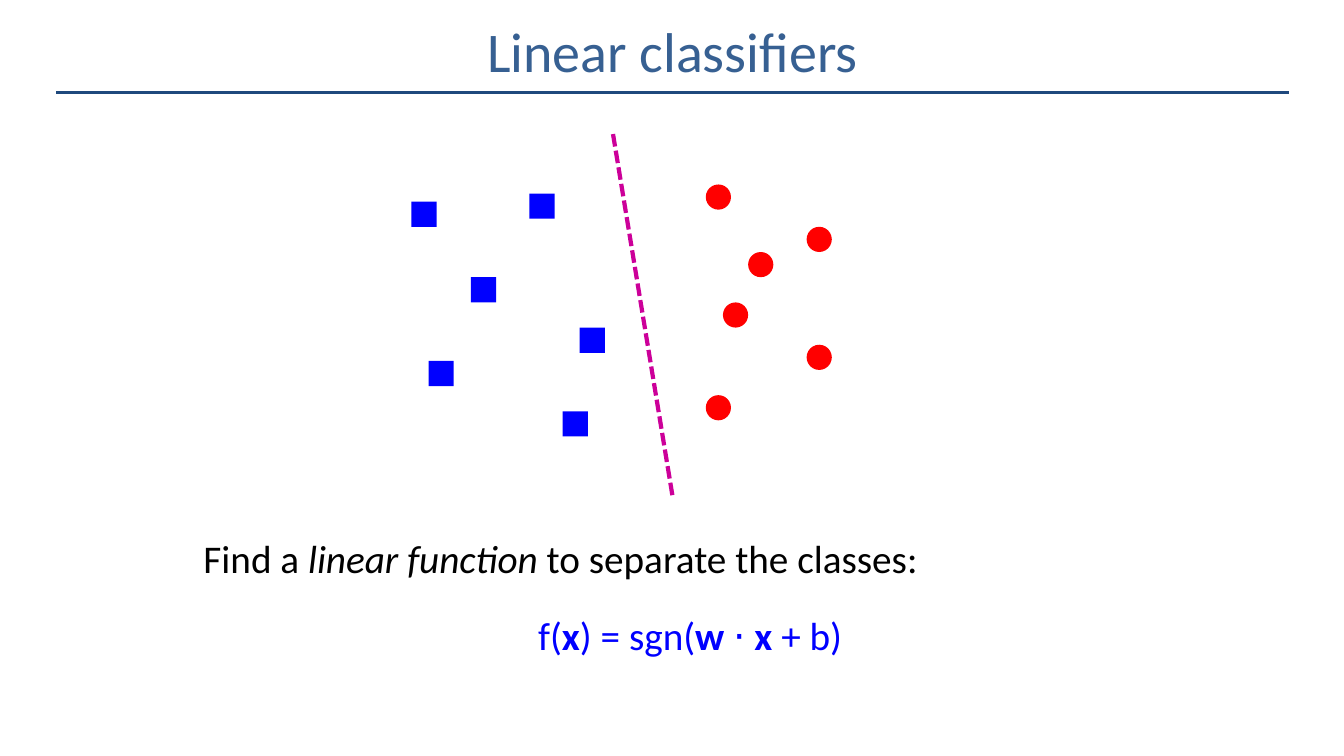
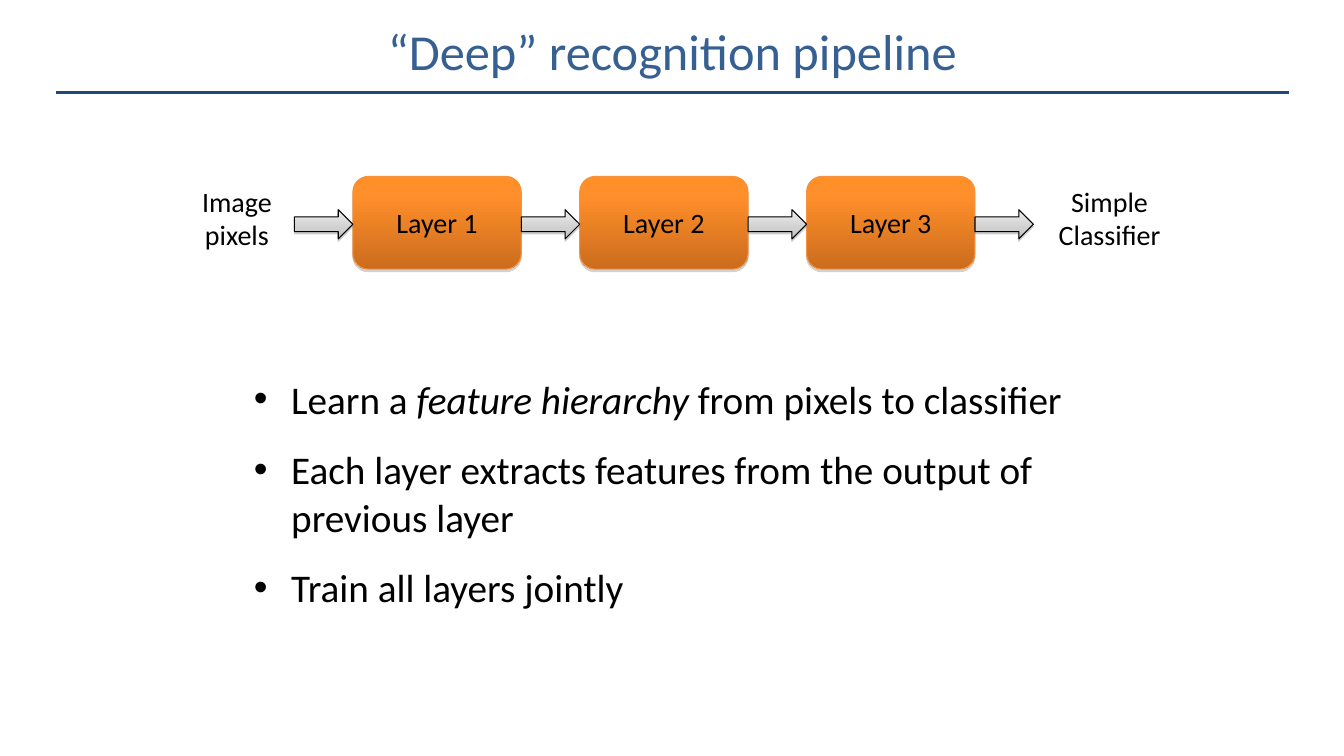
from dataclasses import dataclass
from typing import NamedTuple

from lxml import etree
from pptx import Presentation
from pptx.dml.color import RGBColor
from pptx.enum.dml import MSO_LINE
from pptx.enum.shapes import MSO_CONNECTOR, MSO_SHAPE
from pptx.enum.text import MSO_ANCHOR, PP_ALIGN
from pptx.oxml.ns import qn
from pptx.util import Inches, Pt

CENTER, LEFT = PP_ALIGN.CENTER, PP_ALIGN.LEFT
MIDDLE = MSO_ANCHOR.MIDDLE
SQUARE, CIRCLE = MSO_SHAPE.RECTANGLE, MSO_SHAPE.OVAL
ROUNDED, ARROW = MSO_SHAPE.ROUNDED_RECTANGLE, MSO_SHAPE.RIGHT_ARROW
STRAIGHT, DASHED = MSO_CONNECTOR.STRAIGHT, MSO_LINE.SQUARE_DOT
TITLE_ONLY = 5


@dataclass(frozen=True)
class Theme:
    font: str = "Calibri"
    title: str = "376092"
    rule: str = "1F497D"
    text: str = "000000"
    blue: str = "0000FF"
    red: str = "FF0000"
    boundary: str = "CC0099"
    shadow: str = "808080"
    body_size: int = 28
    label_size: int = 20


class Box(NamedTuple):
    left: float
    top: float
    width: float
    height: float


class Run(NamedTuple):
    text: str
    bold: bool = False
    italic: bool = False


class Finish(NamedTuple):
    """Gradient stops (percent, colour), outline and drop shadow."""
    stops: tuple[tuple[int, str], ...]
    outline: str
    shadow_opacity: int
    shadow_distance: float


class Markers(NamedTuple):
    shape: int
    color: str
    corners: tuple[tuple[float, float], ...]


THEME = Theme()
LAYER_FINISH = Finish(((0, "FF8F26"), (20, "FF8F2A"), (100, "CB6C1D")), "F69240", 35, 1.8)
ARROW_FINISH = Finish(((0, "EDEDED"), (65, "D0D0D0"), (100, "BCBCBC")), "000000", 38, 1.6)

MARKER_SIZE = 0.25
CLASSES = (
    Markers(SQUARE, THEME.blue, ((4.08, 2), (4.67, 2.75), (5.25, 1.92),
                                 (4.25, 3.58), (5.75, 3.25), (5.58, 4.08))),
    Markers(CIRCLE, THEME.red, ((8, 2.25), (7.17, 3), (8, 3.42),
                                (7, 1.83), (7.42, 2.5), (7, 3.92))),
)

LAYERS = ("Layer 1", "Layer 2", "Layer 3")
FIRST_LAYER = Box(3.5, 1.75, 1.67, 0.92)
LAYER_PITCH = 2.25
ARROW_WIDTH = LAYER_PITCH - FIRST_LAYER.width
ARROW_HEIGHT = 0.29

BULLETS = (
    (Run("Learn a "), Run("feature hierarchy", italic=True), Run(" from pixels to classifier")),
    (Run("Each layer extracts features from the output of previous layer"),),
    (Run("Train all layers jointly"),),
)


def rgb(color: str) -> RGBColor:
    return RGBColor.from_string(color)


def emu(box: Box) -> list[int]:
    return [Inches(length) for length in box]


def add_element(parent, tag: str, **attributes):
    child = etree.SubElement(parent, qn(tag))
    for key, value in attributes.items():
        child.set(key, str(value))
    return child


def style_paragraph(paragraph, size: int, color: str, align=LEFT) -> None:
    paragraph.alignment = align
    paragraph.font.name = THEME.font
    paragraph.font.size = Pt(size)
    paragraph.font.color.rgb = rgb(color)


def write_runs(paragraph, runs: tuple[Run, ...]) -> None:
    for part in runs:
        run = paragraph.add_run()
        run.text = part.text
        if part.bold:
            run.font.bold = True
        if part.italic:
            run.font.italic = True


def add_line(slide, start: tuple[float, float], end: tuple[float, float],
             color: str, width: float, dash=None) -> None:
    points = [Inches(value) for value in (*start, *end)]
    connector = slide.shapes.add_connector(STRAIGHT, *points)
    connector.line.color.rgb = rgb(color)
    connector.line.width = Pt(width)
    if dash is not None:
        connector.line.dash_style = dash
    add_element(connector._element.spPr, "a:effectLst")


def add_titled_slide(deck, title: str, size: int):
    """Add a slide with the shared title style and the rule beneath it."""
    slide = deck.slides.add_slide(deck.slide_layouts[TITLE_ONLY])
    heading = slide.shapes.title
    heading.left, heading.top, heading.width, heading.height = emu(Box(0.67, 0, 12, 1))
    heading.text_frame.text = title
    heading.text_frame.vertical_anchor = MIDDLE
    style_paragraph(heading.text_frame.paragraphs[0], size, THEME.title, CENTER)
    add_line(slide, (0.56, 0.92), (12.78, 0.92), THEME.rule, 2.25)
    return slide


def add_text_frame(slide, box: Box, wrap: bool = True):
    frame = slide.shapes.add_textbox(*emu(box)).text_frame
    frame.word_wrap = wrap
    return frame


def add_label(slide, box: Box, text: str, wrap: bool = True) -> None:
    frame = add_text_frame(slide, box, wrap)
    frame.text = text
    style_paragraph(frame.paragraphs[0], THEME.label_size, THEME.text, CENTER)


def add_markers(slide, markers: Markers) -> None:
    for left, top in markers.corners:
        marker = slide.shapes.add_shape(
            markers.shape, *emu(Box(left, top, MARKER_SIZE, MARKER_SIZE)))
        marker.shadow.inherit = False
        marker.fill.solid()
        marker.fill.fore_color.rgb = rgb(markers.color)
        marker.line.fill.background()


def add_finished_shape(slide, kind: int, box: Box, finish: Finish):
    """Add a shape with a downward gradient, a thin outline and a shadow."""
    shape = slide.shapes.add_shape(kind, *emu(box))
    shape.line.color.rgb = rgb(finish.outline)
    shape.line.width = Pt(0.75)
    shape.fill.gradient()
    shape.fill.gradient_angle = 270
    properties = shape._element.spPr
    stops = properties.find(qn("a:gradFill")).find(qn("a:gsLst"))
    for stop in list(stops):
        stops.remove(stop)
    for percent, color in finish.stops:
        stop = add_element(stops, "a:gs", pos=percent * 1000)
        add_element(stop, "a:srgbClr", val=color)

    shape.shadow.inherit = False
    shadow = add_element(properties.find(qn("a:effectLst")), "a:outerShdw", blurRad=0,
                         dist=Pt(finish.shadow_distance), dir=5400000, rotWithShape=0)
    tint = add_element(shadow, "a:srgbClr", val=THEME.shadow)
    add_element(tint, "a:alpha", val=finish.shadow_opacity * 1000)
    return shape


def add_bullets(slide, box: Box, items: tuple[tuple[Run, ...], ...]) -> None:
    frame = add_text_frame(slide, box)
    for index, runs in enumerate(items):
        paragraph = frame.add_paragraph() if index else frame.paragraphs[0]
        properties = paragraph._p.get_or_add_pPr()
        properties.set("marL", str(Inches(0.37)))
        properties.set("indent", str(Inches(-0.37)))
        add_element(properties, "a:buFont", typeface="Arial")
        add_element(properties, "a:buChar", char="•")
        style_paragraph(paragraph, THEME.body_size, THEME.text)
        if index:
            paragraph.space_before = Pt(17)
        write_runs(paragraph, runs)


def build_classifiers(deck) -> None:
    slide = add_titled_slide(deck, "Linear classifiers", 40)
    frame = add_text_frame(slide, Box(1.92, 5.25, 9.5, 1.45))
    task = frame.paragraphs[0]
    style_paragraph(task, THEME.body_size, THEME.text)
    write_runs(task, (Run("Find a "), Run("linear function ", italic=True),
                      Run("to separate the classes:")))

    formula = frame.add_paragraph()
    formula._p.get_or_add_pPr().set("marL", str(Inches(0.35)))
    style_paragraph(formula, THEME.body_size, THEME.blue, CENTER)
    formula.space_before = Pt(21.5)
    write_runs(formula, (Run("f("), Run("x", bold=True), Run(") = sgn("),
                         Run("w ", bold=True), Run("⋅ "), Run("x ", bold=True),
                         Run("+ b)")))

    for markers in CLASSES:
        add_markers(slide, markers)
    add_line(slide, (6.08, 1.33), (6.67, 4.92), THEME.boundary, 3, DASHED)


def build_pipeline(deck) -> None:
    slide = add_titled_slide(deck, "“Deep” recognition pipeline", 36)
    add_bullets(slide, Box(2.42, 3.67, 8.5, 3.17), BULLETS)

    for index, name in enumerate(LAYERS):
        box = FIRST_LAYER._replace(left=FIRST_LAYER.left + index * LAYER_PITCH)
        layer = add_finished_shape(slide, ROUNDED, box, LAYER_FINISH)
        layer.text_frame.text = name
        layer.text_frame.vertical_anchor = MIDDLE
        style_paragraph(layer.text_frame.paragraphs[0], THEME.label_size, THEME.text, CENTER)

    first_arrow = FIRST_LAYER.left - ARROW_WIDTH
    for index in range(len(LAYERS) + 1):
        box = Box(first_arrow + index * LAYER_PITCH, 2.08, ARROW_WIDTH, ARROW_HEIGHT)
        add_finished_shape(slide, ARROW, box, ARROW_FINISH)

    add_label(slide, Box(1.61, 1.78, 1.48, 0.77), "Image pixels")
    add_label(slide, Box(10.39, 1.78, 1.23, 0.77), "Simple\vClassifier", wrap=False)


def main() -> None:
    deck = Presentation()
    deck.slide_width, deck.slide_height = Inches(13.33), Inches(7.5)
    build_classifiers(deck)
    build_pipeline(deck)
    deck.save("out.pptx")


if __name__ == "__main__":
    main()
